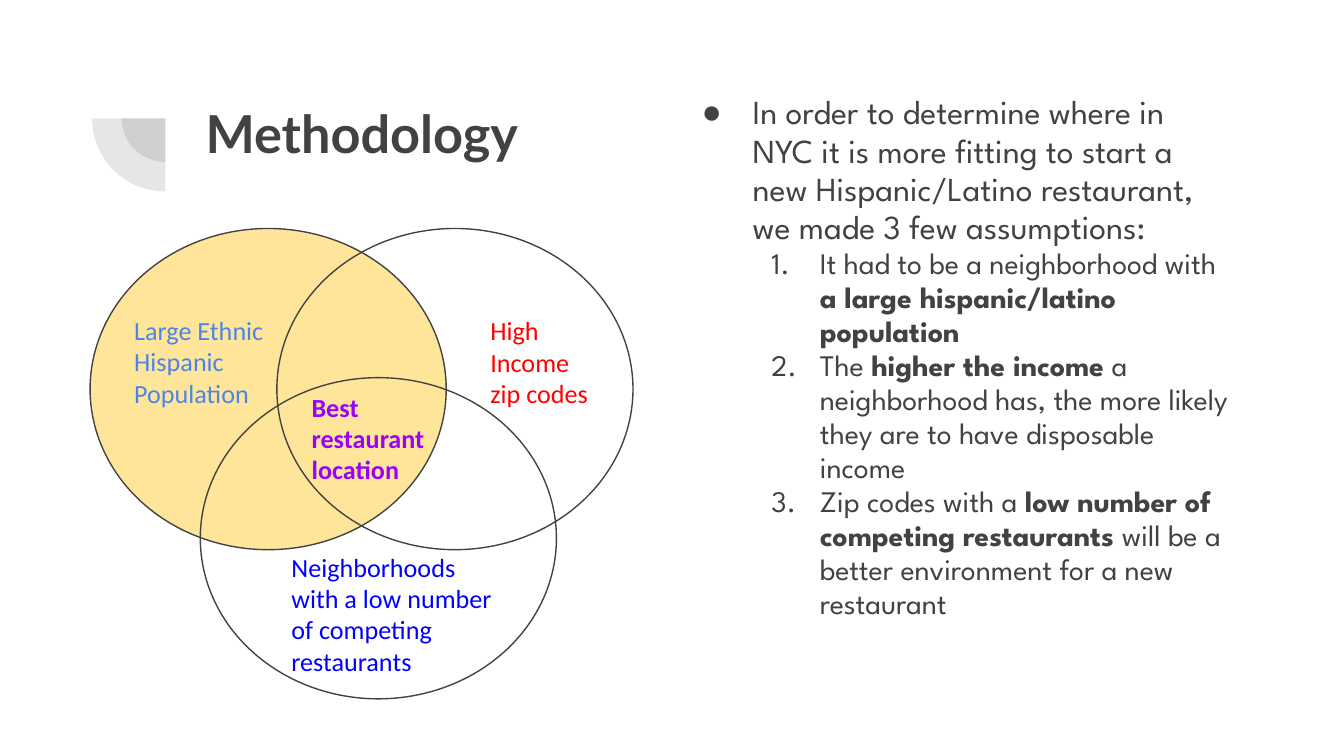
import pptx
import pptx.util
import pptx.dml.color
import pptx.enum.shapes
import pptx.enum.text
import pptx.oxml.ns
import lxml.etree

Inches = pptx.util.Inches
Pt = pptx.util.Pt
MSO_SHAPE = pptx.enum.shapes.MSO_SHAPE
qn = pptx.oxml.ns.qn


def rgb(value):
    return pptx.dml.color.RGBColor.from_string(value)


class Deck:
    """Hold the style and the current slide, and add each kind of element."""

    ink = "424242"
    title_font = "Lato"
    body_font = "League Spartan"
    label_font = "Calibri"

    def __init__(self, prs):
        self.s = prs.slides.add_slide(prs.slide_layouts[1])

    def place(self, sp, left, top, width, height):
        sp.left, sp.top = Inches(left), Inches(top)
        sp.width, sp.height = Inches(width), Inches(height)

    def frame(self, sp):
        tf = sp.text_frame
        tf.word_wrap = True
        tf.auto_size = pptx.enum.text.MSO_AUTO_SIZE.NONE
        tf.vertical_anchor = pptx.enum.text.MSO_ANCHOR.TOP
        tf.margin_left = tf.margin_right = Inches(0.1)
        tf.margin_top = tf.margin_bottom = Inches(0.1)
        return tf

    def style(self, r, font, size, color, bold=False):
        r.font.name = font
        r.font.size = Pt(size)
        r.font.bold = bold
        r.font.color.rgb = rgb(color)

    def title(self, text, *box):
        sp = self.s.shapes.title
        self.place(sp, *box)
        tf = self.frame(sp)
        tf.text = text
        p = tf.paragraphs[0]
        p.alignment = pptx.enum.text.PP_ALIGN.LEFT
        self.style(p.runs[0], self.title_font, 28, self.ink, True)

    def bullet(self, p, indent, hanging, font, tag, **attrs):
        pPr = p._p.get_or_add_pPr()
        pPr.set("marL", str(Inches(indent)))
        pPr.set("indent", str(-Inches(hanging)))
        clr = lxml.etree.SubElement(pPr, qn("a:buClr"))
        lxml.etree.SubElement(clr, qn("a:srgbClr"), val=self.ink)
        lxml.etree.SubElement(pPr, qn("a:buFont"), typeface=font)
        lxml.etree.SubElement(pPr, qn(tag), **attrs)

    def body(self, intro, points, *box):
        sp = self.s.placeholders[1]
        self.place(sp, *box)
        tf = self.frame(sp)
        for i, parts in enumerate([[intro]] + points):
            p = tf.add_paragraph() if i else tf.paragraphs[0]
            p.level = 1 if i else 0
            p.line_spacing = 0.95
            p.space_before = p.space_after = Pt(0)
            if i:
                self.bullet(p, 1, 0.36, self.body_font, "a:buAutoNum", type="arabicPeriod")
            else:
                self.bullet(p, 0.5, 0.38, "Arial", "a:buChar", char="●")
            for j, text in enumerate(parts):
                r = p.add_run()
                r.text = text
                self.style(r, self.body_font, 16 if i else 18, self.ink, j == 1)

    def pie(self, cx, cy, size):
        sp = self.s.shapes.add_shape(MSO_SHAPE.PIE, 0, 0, 0, 0)
        self.place(sp, cx - size / 2, cy - size / 2, size, size)
        sp.adjustments[0], sp.adjustments[1] = 107.93, 162
        sp.rotation = 270
        sp.shadow.inherit = False
        sp.line.fill.background()
        sp.fill.solid()
        sp.fill.fore_color.rgb = rgb(self.ink)
        clr = sp._element.spPr.find(qn("a:solidFill"))[0]
        lxml.etree.SubElement(clr, qn("a:alpha"), val="13000")

    def circle(self, left, top, fill=None):
        sp = self.s.shapes.add_shape(MSO_SHAPE.OVAL, 0, 0, 0, 0)
        self.place(sp, left, top, 2.65, 2.39)
        sp.shadow.inherit = False
        sp.line.color.rgb = rgb(self.ink)
        sp.line.width = Pt(0.75)
        if fill:
            sp.fill.solid()
            sp.fill.fore_color.rgb = rgb(fill)
        else:
            sp.fill.background()

    def label(self, text, color, box, bold=False):
        sp = self.s.shapes.add_textbox(0, 0, 0, 0)
        self.place(sp, *box)
        tf = self.frame(sp)
        tf.text = text
        self.style(tf.paragraphs[0].runs[0], self.label_font, 14, color, bold)


def main():
    prs = pptx.Presentation()
    prs.slide_width, prs.slide_height = Inches(10), Inches(10 * 9 / 16)
    deck = Deck(prs)

    for size in (0.65, 1.09):
        deck.pie(1.23, 0.88, size)
    deck.title("Methodology", 1.43, 0.65, 7.69, 1.09)
    deck.body(
        "In order to determine where in NYC it is more fitting to start a new "
        "Hispanic/Latino restaurant, we made 3 few assumptions:",
        [
            ["It had to be a neighborhood with ", "a large hispanic/latino population"],
            ["The ", "higher the income",
             " a neighborhood has, the more likely they are to have disposable income"],
            ["Zip codes with a ", "low number of competing restaurants ",
             "will be a better environment for a new restaurant"],
        ],
        5, 0.6, 4.25, 4.43)

    deck.circle(0.67, 1.7, "FFE599")
    deck.circle(2.06, 1.7)
    deck.circle(1.49, 2.81)
    deck.label("Large Ethnic Hispanic Population", "4A86E8", (0.9, 2.24, 1.18, 1.14))
    deck.label("High Income zip codes", "FF0000", (3.55, 2.24, 1.04, 0.91))
    deck.label("Best restaurant location", "9900FF", (2.22, 2.81, 1.18, 0.91), True)
    deck.label("Neighborhoods with a low number of competing restaurants",
               "0000FF", (2.07, 4, 1.76, 1.14))
    prs.save("out.pptx")


if __name__ == "__main__":
    main()
